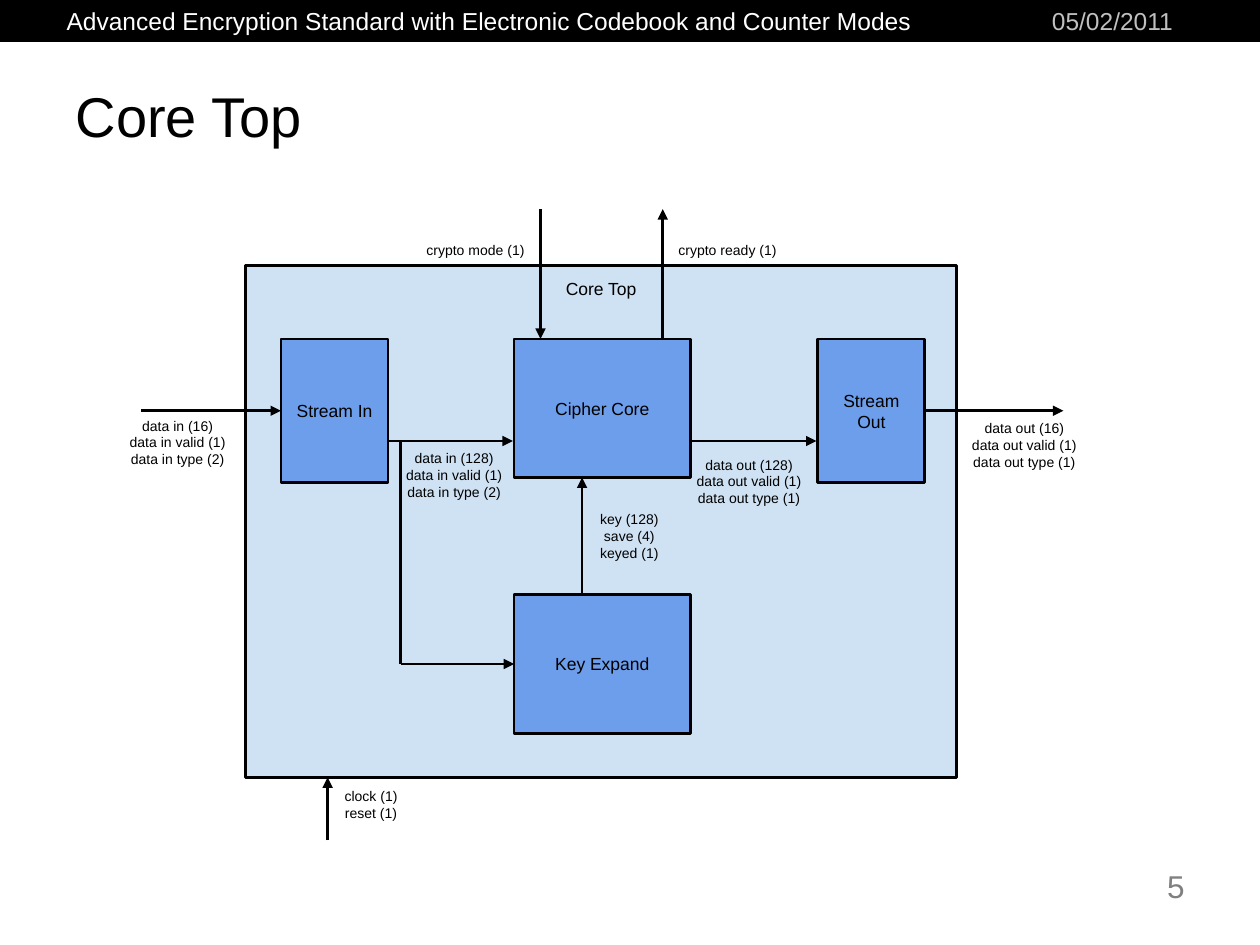
from pptx import Presentation, util as u
from pptx.dml.color import RGBColor
from pptx.enum import shapes, text
from pptx.oxml.ns import qn
from lxml import etree

I = u.Inches
ALIGN, ANCHOR = text.PP_ALIGN, text.MSO_ANCHOR


def rgb(h):
    return RGBColor.from_string(h)


def write(sp, lines, size, color, align=ALIGN.LEFT, anchor=ANCHOR.TOP, pad=(0.1, 0.05), wrap=True):
    tf = sp.text_frame
    tf.word_wrap = wrap
    tf.auto_size = text.MSO_AUTO_SIZE.NONE
    tf.vertical_anchor = anchor
    tf.margin_left = tf.margin_right = I(pad[0])
    tf.margin_top = tf.margin_bottom = I(pad[1])
    p = tf.paragraphs[0]
    p.alignment = align
    for i, line in enumerate(lines):
        if i:
            p.add_line_break()
        r = p.add_run()
        r.text = line
        r.font.name = "Arial"
        r.font.size = u.Pt(size)
        r.font.color.rgb = rgb(color)


def text_box(s, box, lines, size, color, **style):
    write(s.shapes.add_textbox(*map(I, box)), lines, size, color, **style)


def rect(s, box, fill, width):
    sp = s.shapes.add_shape(shapes.MSO_SHAPE.RECTANGLE, *map(I, box))
    sp.shadow.inherit = False
    sp.fill.solid()
    sp.fill.fore_color.rgb = rgb(fill)
    sp.line.color.rgb = rgb("000000")
    sp.line.width = u.Pt(width)
    return sp


def block(s, box, name, fill="6D9EEB", anchor=ANCHOR.MIDDLE):
    sp = rect(s, box, fill, 1.5)
    write(sp, [name], 10, "000000", align=ALIGN.CENTER, anchor=anchor, pad=(0.1, 0.1))
    return sp


def wire(s, x1, y1, x2, y2, arrow=True):
    c = s.shapes.add_connector(shapes.MSO_CONNECTOR.STRAIGHT, I(x1), I(y1), I(x2), I(y2))
    c.line.color.rgb = rgb("000000")
    c.line.width = u.Pt(1.5)
    if arrow:
        etree.SubElement(c.line._get_or_add_ln(), qn("a:tailEnd"), type="triangle")
    etree.SubElement(c._element.spPr, qn("a:effectLst"))
    return c


def header(s, x, y, w, h):
    rect(s, (x, y, w, h), "000000", 0.75)
    text_box(s, (x + 0.43, y, 6.91, h),
             ["Advanced Encryption Standard with Electronic Codebook and Counter Modes"],
             14, "FFFFFF", wrap=False)
    text_box(s, (x + 8.25, y, 1.25, 0.25), ["05/02/2011"], 14, "C0C0C0")


def title(s, x, y, w, h):
    sp = s.shapes.title
    sp.left, sp.top, sp.width, sp.height = map(I, (x, y, w, h))
    write(sp, ["Core Top"], 32, "000000", anchor=ANCHOR.MIDDLE)


def page_number(s, x, y, w, h):
    text_box(s, (x, y, w, h), ["5"], 18, "808080", align=ALIGN.RIGHT)


def diagram(s, x, y, w, h):
    block(s, (x, y, w, h), "Core Top", "CFE2F3", ANCHOR.TOP)
    block(s, (x + 2.13, y + 0.58, 1.4, 1.1), "Cipher Core")
    key = block(s, (x + 2.13, y + 2.61, 1.4, 1.1), "Key Expand")
    stream_in = block(s, (x + 0.28, y + 0.58, 0.85, 1.14), "Stream In")
    stream_out = block(s, (x + 4.54, y + 0.58, 0.85, 1.14), "Stream Out")

    for x1, y1, x2, y2 in [
        (2.34, -0.45, 2.34, 0.58),
        (3.31, 0.58, 3.31, -0.45),
        (2.67, 2.61, 2.67, 1.68),
        (0.65, h + 0.5, 0.65, h),
        (1.13, 1.39, 2.12, 1.39),
        (3.53, 1.39, 4.53, 1.39),
    ]:
        wire(s, x + x1, y + y1, x + x2, y + y2)
    wire(s, x + 1.23, y + 1.39, x + 1.23, y + 3.16, arrow=False)
    wire(s, x + 1.23, y + 3.16, x + 2.13, y + 3.16).end_connect(key, 1)
    wire(s, x - 0.83, y + 1.15, x + 0.28, y + 1.15).end_connect(stream_in, 1)
    wire(s, x + 5.39, y + 1.15, x + 6.49, y + 1.15).begin_connect(stream_out, 3)

    for lx, ly, lw, lh, lines in [
        (1.31, -0.25, 1.03, 0.25, ["crypto mode (1)"]),
        (3.31, -0.25, 1.03, 0.25, ["crypto ready (1)"]),
        (-1.08, 1.14, 1.08, 0.52, ["data in (16)", "data in valid (1)", "data in type (2)"]),
        (1.14, 1.4, 1.03, 0.52, ["data in (128)", "data in valid (1)", "data in type (2)"]),
        (3.45, 1.4, 1.09, 0.62, ["data out (128)", "data out valid (1)", "data out type (1)"]),
        (w, 1.16, 1.08, 0.52, ["data out (16)", "data out valid (1)", "data out type (1)"]),
        (2.67, 1.81, 0.75, 0.67, ["key (128)", "save (4)", "keyed (1)"]),
        (0.65, h, 0.69, 0.43, ["clock (1)", "reset (1)"]),
    ]:
        text_box(s, (x + lx, y + ly, lw, lh), lines, 8, "000000",
                 align=ALIGN.CENTER, anchor=ANCHOR.MIDDLE, pad=(0.1, 0.1))


def main():
    prs = Presentation()
    prs.slide_width, prs.slide_height = I(10), I(7.5)
    s = prs.slides.add_slide(prs.slide_layouts[5])
    header(s, 0, 0, 10, 0.33)
    title(s, 0.5, 0.5, 9, 0.83)
    page_number(s, 8.5, 6.83, 1, 0.44)
    diagram(s, 1.95, 2.11, 5.64, 4.06)
    prs.save("out.pptx")


if __name__ == "__main__":
    main()
